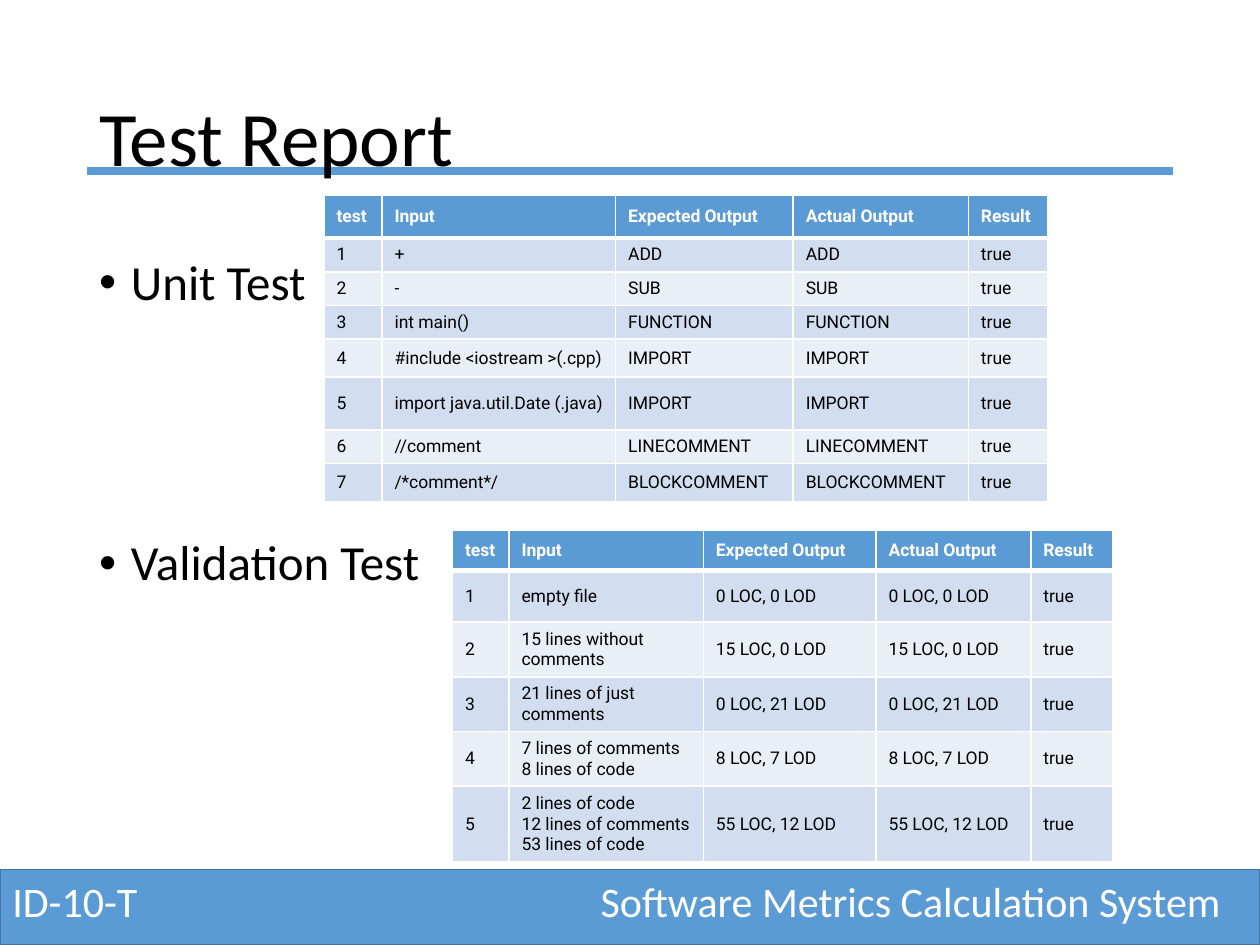
"""Build the Test Report slide with its unit and validation test tables."""
from dataclasses import dataclass
from typing import NamedTuple

from lxml.etree import SubElement
from pptx import Presentation
from pptx.dml.color import RGBColor
from pptx.enum.shapes import MSO_CONNECTOR as CONN, MSO_SHAPE as SHAPE
from pptx.enum.text import MSO_ANCHOR as ANCHOR, PP_ALIGN as ALIGN
from pptx.oxml.ns import qn
from pptx.util import Cm, Pt

BLUE = RGBColor(0x5B, 0x9B, 0xD5)
NAVY = RGBColor(0x43, 0x73, 0x9E)
PALE = RGBColor(0xD2, 0xDE, 0xEF)
PALER = RGBColor(0xEA, 0xEF, 0xF7)
WHITE = RGBColor(0xFF, 0xFF, 0xFF)
BLACK = RGBColor(0, 0, 0)
HEADERS = ("test", "Input", "Expected Output", "Actual Output", "Result")


class Case(NamedTuple):
    height: float
    output: str
    paragraphs: tuple[str, ...]


@dataclass
class Report:
    left: float
    top: float
    widths: tuple[float, ...]
    header_height: float
    cases: tuple[Case, ...]


@dataclass
class Label:
    left: float
    top: float
    width: float
    height: float
    text: str
    size: int
    color: RGBColor


UNIT = Report(6.53, 3.94, (1.17, 4.71, 3.58, 3.53, 1.6), 0.86, (
    Case(0.66, "ADD", ("+",)),
    Case(0.66, "SUB", ("-",)),
    Case(0.66, "FUNCTION", ("int main()",)),
    Case(0.76, "IMPORT", ("#include <iostream >(.cpp)",)),
    Case(1.07, "IMPORT", ("import java.util.Date (.java)",)),
    Case(0.66, "LINECOMMENT", ("//comment",)),
    Case(0.76, "BLOCKCOMMENT", ("/*comment*/",)),
))
VALIDATION = Report(9.12, 10.69, (1.14, 3.92, 3.48, 3.12, 1.65), 0.81, (
    Case(1.04, "0 LOC, 0 LOD", ("empty file",)),
    Case(1.04, "15 LOC, 0 LOD", ("15 lines without comments",)),
    Case(1.04, "0 LOC, 21 LOD", ("21 lines of just comments",)),
    Case(1.04, "8 LOC, 7 LOD", ("7 lines of comments", "8 lines of code")),
    Case(1.04, "55 LOC, 12 LOD",
         ("2 lines of code\n12 lines of comments", "53 lines of code")),
))
TITLE = Label(1.75, 1.02, 21.89, 3.68, "Test Report", 44, BLACK)
FOOTERS = (
    Label(0, 17.53, 4.85, 1.27, "ID-10-T", 24, WHITE),
    Label(11.86, 17.53, 13.54, 1.27, "Software Metrics Calculation System", 24, WHITE),
)
TOPICS = (("Unit Test", 10), ("Validation Test", 130))


def add_run(p, text: str, size: int, color: RGBColor, font="Calibri", bold=False) -> None:
    r = p.add_run()
    r.text = text
    r.font.name, r.font.size, r.font.bold = font, Pt(size), bold
    r.font.color.rgb = color


def add_label(s, label: Label):
    sp = s.shapes.add_textbox(
        Cm(label.left), Cm(label.top), Cm(label.width), Cm(label.height))
    tf = sp.text_frame
    tf.word_wrap = True
    add_run(tf.paragraphs[0], label.text, label.size, label.color)
    return tf


def add_topics(s) -> None:
    sp = s.shapes.add_textbox(Cm(1.75), Cm(5.08), Cm(21.89), Cm(12.09))
    tf = sp.text_frame
    tf.word_wrap = True
    for i, (text, before) in enumerate(TOPICS):
        p = tf.add_paragraph() if i else tf.paragraphs[0]
        p.line_spacing, p.space_before = 0.9, Pt(before)
        pPr = p._p.get_or_add_pPr()
        pPr.set("marL", str(Cm(0.64)))
        pPr.set("indent", str(-Cm(0.64)))
        SubElement(pPr, qn("a:buFont"), typeface="Arial")
        SubElement(pPr, qn("a:buChar"), char="•")
        add_run(p, text, 28, BLACK)


def add_borders(cell, top: int, bottom: int) -> None:
    tcPr = cell._tc.get_or_add_tcPr()
    for side, width in (("L", 1), ("R", 1), ("T", top), ("B", bottom)):
        ln = SubElement(tcPr, qn(f"a:ln{side}"), w=str(Pt(width)))
        fill = SubElement(ln, qn("a:solidFill"))
        SubElement(fill, qn("a:srgbClr"), val=str(WHITE))


def fill_cell(cell, paragraphs: tuple[str, ...], row: int) -> None:
    header = row == 0
    add_borders(cell, 3 if row == 1 else 1, 3 if header else 1)
    cell.fill.solid()
    cell.fill.fore_color.rgb = BLUE if header else PALE if row % 2 else PALER
    cell.vertical_anchor = ANCHOR.MIDDLE
    tf = cell.text_frame
    for i, text in enumerate(paragraphs):
        p = tf.add_paragraph() if i else tf.paragraphs[0]
        for j, line in enumerate(text.split("\n")):
            if j:
                p.add_line_break()
            add_run(p, line, 10, WHITE if header else BLACK, "Roboto", header)


def add_report(s, report: Report) -> None:
    heights = [report.header_height] + [case.height for case in report.cases]
    rows = [[(text,) for text in HEADERS]]
    for number, case in enumerate(report.cases, 1):
        output = (case.output,)
        rows.append([(str(number),), case.paragraphs, output, output, ("true",)])
    table = s.shapes.add_table(
        len(rows), len(HEADERS), Cm(report.left), Cm(report.top),
        Cm(sum(report.widths)), Cm(sum(heights))).table
    for column, width in zip(table.columns, report.widths):
        column.width = Cm(width)
    for i, (height, row) in enumerate(zip(heights, rows)):
        table.rows[i].height = Cm(height)
        for j, paragraphs in enumerate(row):
            fill_cell(table.cell(i, j), paragraphs, i)


def add_frame(s) -> None:
    bar = s.shapes.add_shape(SHAPE.RECTANGLE, 0, Cm(17.53), Cm(25.4), Cm(1.52))
    bar.shadow.inherit = False
    bar.fill.solid()
    bar.fill.fore_color.rgb = BLUE
    bar.line.color.rgb = NAVY
    bar.line.width = Pt(1)
    rule = s.shapes.add_connector(CONN.STRAIGHT, Cm(1.75), Cm(3.45), Cm(23.65), Cm(3.45))
    rule.line.color.rgb = BLUE
    rule.line.width = Pt(4.5)
    SubElement(rule._element.spPr, qn("a:effectLst"))


def main() -> None:
    prs = Presentation()
    prs.slide_width, prs.slide_height = Cm(25.4), Cm(19.05)
    s = prs.slides.add_slide(prs.slide_layouts[6])
    add_frame(s)
    tf = add_label(s, TITLE)
    tf.vertical_anchor = ANCHOR.MIDDLE
    tf.paragraphs[0].line_spacing = 0.9
    add_topics(s)
    for footer in FOOTERS:
        add_label(s, footer).paragraphs[0].alignment = ALIGN.LEFT
    for report in (UNIT, VALIDATION):
        add_report(s, report)
    prs.save("out.pptx")


if __name__ == "__main__":
    main()
